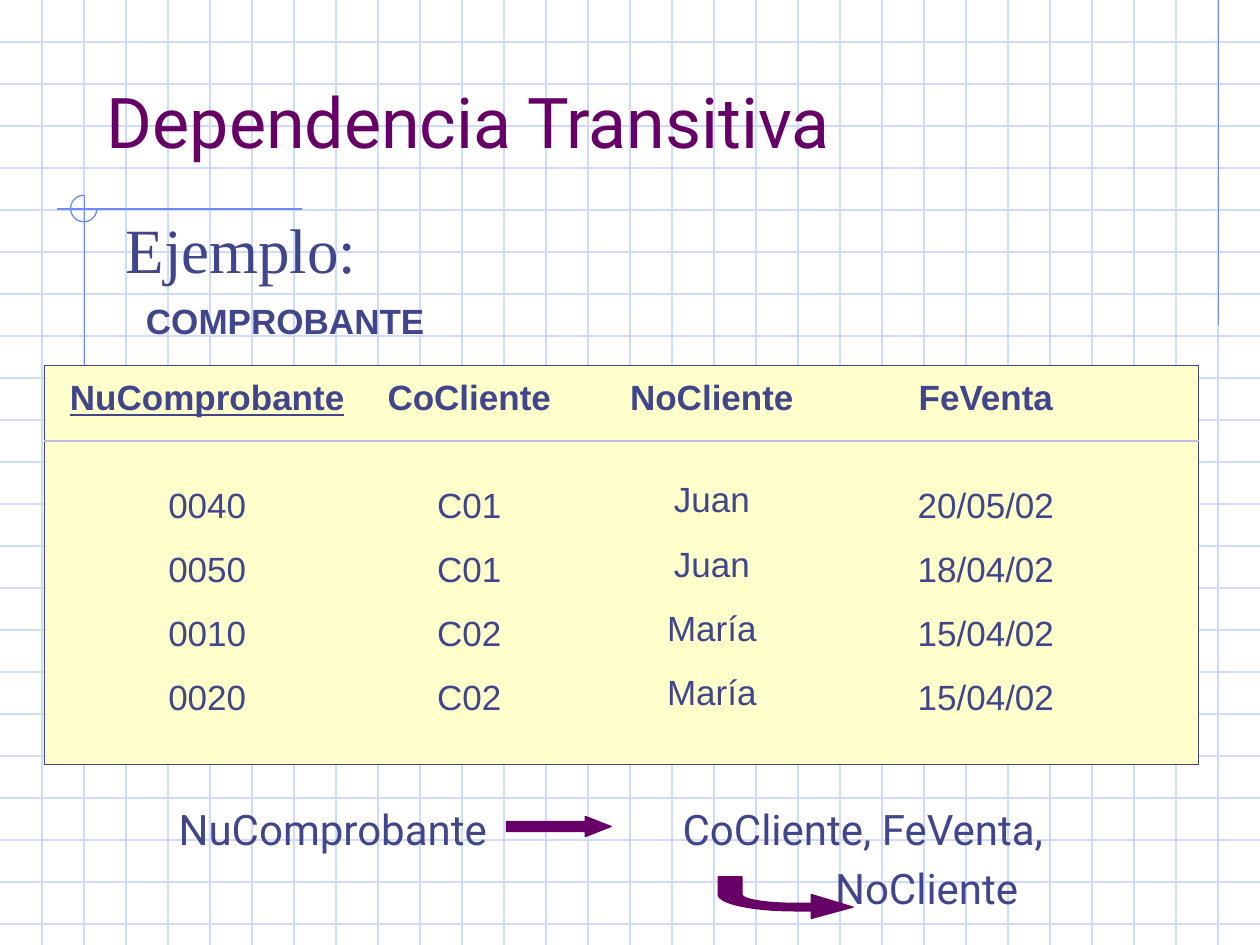
from typing import NamedTuple

from lxml import etree
from pptx import Presentation
from pptx import util as u
from pptx.dml.color import RGBColor
from pptx.enum import shapes, text
from pptx.oxml import ns

INK, PLUM, GRID, BLUE, CREAM, RULE = "40458C", "660066", "CFDBFD", "6F89F7", "FFFFCC", "B7C1EB"


class Line(NamedTuple):
    x1: float
    y1: float
    x2: float
    y2: float
    color: str


class Label(NamedTuple):
    box: tuple[float, float, float, float]
    lines: tuple[str, ...]
    font: str
    size: float
    color: str = INK
    bold: bool = False
    anchor: text.MSO_ANCHOR = text.MSO_ANCHOR.TOP


class Column(NamedTuple):
    width: float
    values: tuple[str, ...]
    left: float = 0.1
    right: float = 0.1
    lift: float = 0


class Row(NamedTuple):
    height: float
    top: float


LINES = (
    [Line(0, i / 3, 10, i / 3, GRID) for i in range(1, 23)]
    + [Line(i / 3, 0, i / 3, 7.5, GRID) for i in range(1, 30)]
    + [
        Line(9.67, 0, 9.67, 2.58, BLUE),
        Line(2.4, 1.66, 0.45, 1.66, BLUE),
        Line(0.67, 1.55, 0.67, 4.09, BLUE),
    ]
)
LABELS = [
    Label((0.75, 0.42, 8.5, 1.08), ("Dependencia Transitiva",), "Roboto", 40, PLUM,
          anchor=text.MSO_ANCHOR.MIDDLE),
    Label((0.9, 1.62, 8.5, 0.58), ("Ejemplo:",), "Times New Roman", 36),
    Label((1.06, 2.33, 3.08, 0.44), ("COMPROBANTE",), "Arial", 20, bold=True),
    Label((1.32, 6.33, 2.7, 0.5), ("NuComprobante",), "Roboto", 24),
    Label((5.32, 6.33, 3.53, 0.97), ("CoCliente, FeVenta,", "NoCliente"), "Roboto", 24),
]
COLUMNS = [
    Column(2.51, ("NuComprobante", "0040", "0050", "0010", "0020"), left=0.18),
    Column(1.73, ("CoCliente", "C01", "C01", "C02", "C02")),
    Column(2.12, ("NoCliente", "Juan", "Juan", "María", "María"), lift=0.04),
    Column(2.8, ("FeVenta", "20/05/02", "18/04/02", "15/04/02", "15/04/02"), right=0.67),
]
ROWS = [Row(0.6, 0.11), Row(0.8, 0.36), Row(0.51, 0.07), Row(0.51, 0.07), Row(0.75, 0.07)]


def rgb(value: str) -> RGBColor:
    return RGBColor.from_string(value)


def add_line(s, line: Line) -> None:
    ends = [u.Inches(v) for v in line[:4]]
    sp = s.shapes.add_connector(shapes.MSO_CONNECTOR.STRAIGHT, *ends)
    sp.line.color.rgb = rgb(line.color)
    sp.line.width = u.Pt(0.75)
    etree.SubElement(sp._element.spPr, ns.qn("a:effectLst"))


def style(sp, line: str, fill: str | None = None) -> None:
    sp.shadow.inherit = False
    sp.line.color.rgb = rgb(line)
    sp.line.width = u.Pt(0.75)
    if fill:
        sp.fill.solid()
        sp.fill.fore_color.rgb = rgb(fill)
    else:
        sp.fill.background()


def add_preset(s, kind, box: tuple, adjustments: tuple, line: str, fill: str | None = None) -> None:
    sp = s.shapes.add_shape(kind, *[u.Inches(v) for v in box])
    for i, value in enumerate(adjustments):
        sp.adjustments[i] = value
    style(sp, line, fill)


def set_font(p, name: str, size: float, color: str, bold: bool) -> None:
    p.font.name, p.font.size, p.font.bold = name, u.Pt(size), bold
    p.font.color.rgb = rgb(color)


def add_label(s, label: Label) -> None:
    tf = s.shapes.add_textbox(*[u.Inches(v) for v in label.box]).text_frame
    tf.word_wrap = True
    tf.vertical_anchor = label.anchor
    for i, line in enumerate(label.lines):
        p = tf.add_paragraph() if i else tf.paragraphs[0]
        p.text = line
        p.space_before = u.Pt(5)
        set_font(p, label.font, label.size, label.color, label.bold)
        if i:
            p._p.get_or_add_pPr().set("marL", str(u.Inches(1.21)))


def curve(p0: tuple, p1: tuple, p2: tuple, p3: tuple, steps: int = 16) -> list[tuple]:
    """Return points along a cubic curve, without its start."""
    return [
        tuple(
            (1 - t) ** 3 * a + 3 * (1 - t) ** 2 * t * b + 3 * (1 - t) * t**2 * c + t**3 * d
            for a, b, c, d in zip(p0, p1, p2, p3)
        )
        for t in (i / steps for i in range(1, steps + 1))
    ]


def add_bent_arrow(s) -> None:
    outer = curve((5.7, 7.1), (5.7, 7.17), (5.97, 7.23), (6.31, 7.23))
    inner = curve((6.31, 7.17), (6.08, 7.17), (5.89, 7.14), (5.89, 7.1))
    head = [(6.44, 7.23), (6.44, 7.29), (6.77, 7.2), (6.44, 7.1), (6.44, 7.17), (6.31, 7.17)]
    points = [(5.7, 7.1), *outer, *head, *inner, (5.89, 6.96)]
    fb = s.shapes.build_freeform(u.Inches(5.7), u.Inches(6.96))
    fb.add_line_segments([(u.Inches(x), u.Inches(y)) for x, y in points])
    style(fb.convert_to_shape(), PLUM, PLUM)


def set_borders(cell, edges: dict[str, str]) -> None:
    tcPr = cell._tc.get_or_add_tcPr()
    for i, side in enumerate("LRTB"):
        ln = etree.Element(ns.qn(f"a:ln{side}"), w=str(u.Pt(0.75)))
        if side in edges:
            fill = etree.SubElement(ln, ns.qn("a:solidFill"))
            etree.SubElement(fill, ns.qn("a:srgbClr"), val=edges[side])
        else:
            etree.SubElement(ln, ns.qn("a:noFill"))
        tcPr.insert(i, ln)


def cell_edges(row: int, col: int) -> dict[str, str]:
    last_row, last_col = len(ROWS) - 1, len(COLUMNS) - 1
    edges = {"T": INK} if row == 0 else {}
    edges |= {"B": RULE} if row == 0 else {"T": RULE} if row == 1 else {}
    edges |= {"B": INK} if row == last_row else {}
    edges |= {"L": INK} if col == 0 else {}
    return edges | ({"R": INK} if col == last_col else {})


def add_receipts(s) -> None:
    width, height = sum(c.width for c in COLUMNS), sum(r.height for r in ROWS)
    box = [u.Inches(v) for v in (0.35, 2.9, width, height)]
    table = s.shapes.add_table(len(ROWS), len(COLUMNS), *box).table
    table.first_row = table.horz_banding = False
    for i, row in enumerate(ROWS):
        table.rows[i].height = u.Inches(row.height)
        for j, column in enumerate(COLUMNS):
            table.columns[j].width = u.Inches(column.width)
            cell = table.cell(i, j)
            cell.fill.solid()
            cell.fill.fore_color.rgb = rgb(CREAM)
            cell.margin_left, cell.margin_right = u.Inches(column.left), u.Inches(column.right)
            cell.margin_top = u.Inches(row.top - (column.lift if i else 0))
            cell.margin_bottom = 0
            p = cell.text_frame.paragraphs[0]
            p.text = column.values[i]
            p.alignment = text.PP_ALIGN.CENTER
            set_font(p, "Arial", 20, INK, i == 0)
            p.font.underline = i == j == 0
            set_borders(cell, cell_edges(i, j))


def main() -> None:
    prs = Presentation()
    prs.slide_width, prs.slide_height = u.Inches(10), u.Inches(7.5)
    s = prs.slides.add_slide(prs.slide_layouts[6])
    for line in LINES:
        add_line(s, line)
    add_preset(s, shapes.MSO_SHAPE.ARC, (0.56, 1.55, 0.21, 0.21), (0, 162), BLUE)
    for label in LABELS:
        add_label(s, label)
    add_bent_arrow(s)
    add_preset(s, shapes.MSO_SHAPE.RIGHT_ARROW, (4.02, 6.48, 0.83, 0.16), (0.5, 1.28), PLUM, PLUM)
    add_receipts(s)
    prs.save("out.pptx")


if __name__ == "__main__":
    main()
